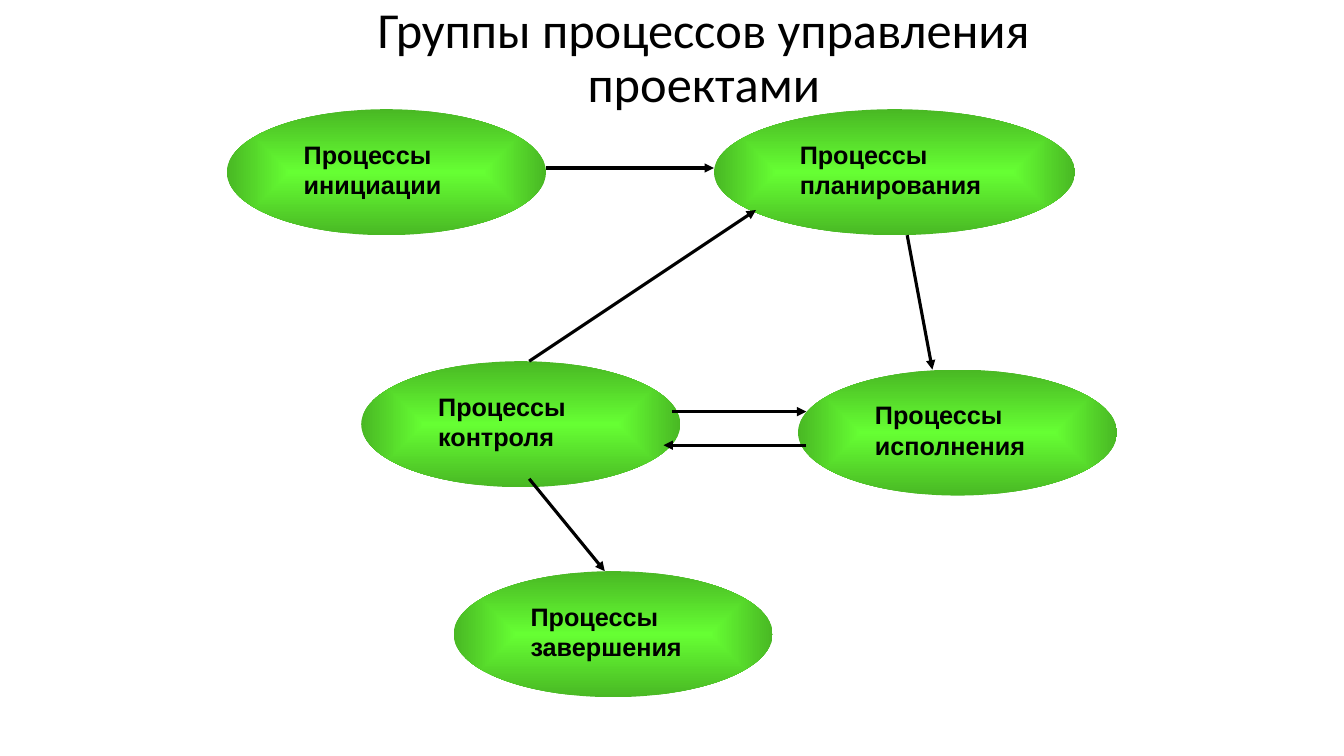
from lxml.etree import SubElement
from pptx import Presentation
from pptx.dml.color import RGBColor
from pptx.enum.shapes import MSO_CONNECTOR, MSO_SHAPE
from pptx.enum.text import MSO_ANCHOR, PP_ALIGN
from pptx.oxml import parse_xml
from pptx.oxml.ns import nsdecls, qn
from pptx.util import Inches, Pt

BLACK = RGBColor(0x00, 0x00, 0x00)
LIME = RGBColor(0x66, 0xFF, 0x33)
GREEN = RGBColor(0x49, 0xB8, 0x24)

# Grid of 160 columns by 90 rows
UNIT = Inches(1) / 12
COLS, ROWS = 160, 90

# Process ovals: text, column, row, width
NODES = [
    ("Процессы инициации", 27, 13, 38),
    ("Процессы планирования", 85, 13, 43),
    ("Процессы контроля", 43, 43, 38),
    ("Процессы исполнения", 95, 44, 38),
    ("Процессы завершения", 54, 68, 38),
]
TALL = 15

# Arrows: start column and row, end column and row
LINKS = [
    (65, 20, 85, 20),
    (108, 28, 111, 44),
    (80, 49, 96, 49),
    (96, 53, 79, 53),
    (63, 43, 90, 25),
    (63, 57, 72, 68),
]


def grid(*cells):
    return [round(cell * UNIT) for cell in cells]


def add_text(shapes, text, box, size, font):
    area = shapes.add_textbox(*grid(*box))
    frame = area.text_frame
    frame.word_wrap = True
    frame.vertical_anchor = MSO_ANCHOR.TOP
    para = frame.paragraphs[0]
    para.text = text
    para.font.size = Pt(size)
    para.font.name = font
    para.font.color.rgb = BLACK
    return para


def add_title(slide, text, box):
    para = add_text(slide.shapes, text, box, 36, "Calibri")
    para.alignment = PP_ALIGN.CENTER
    para.line_spacing = 0.9


def set_glow(fill):
    """Shade from a bright centre to a darker rim."""
    fill.gradient()
    for stop, color, place in zip(fill.gradient_stops, (LIME, GREEN), (0, 1)):
        stop.color.rgb = color
        stop.position = place


def add_node(slide, text, box):
    left, top, wide, tall = box
    group = slide.shapes.add_group_shape()
    oval = group.shapes.add_shape(MSO_SHAPE.OVAL, *grid(*box))
    oval.shadow.inherit = False
    oval.line.fill.background()
    set_glow(oval.fill)
    lin = oval._element.spPr.find(".//" + qn("a:lin"))
    lin.getparent().replace(lin, parse_xml(
        f'<a:path {nsdecls("a")} path="shape"><a:fillToRect '
        'l="50000" t="50000" r="50000" b="50000"/></a:path>'))

    # Label inside the oval
    area = (left + 0.21 * wide, top + 0.2 * tall, 0.58 * wide, 0.56 * tall)
    para = add_text(group.shapes, text, area, 18, "Arial")
    para.font.bold = True
    para.space_before = Pt(11.2)


def add_link(slide, ends):
    link = slide.shapes.add_connector(MSO_CONNECTOR.STRAIGHT, *grid(*ends))
    link.line.color.rgb = BLACK
    link.line.width = Pt(2.25)
    SubElement(link.line._get_or_add_ln(), qn("a:tailEnd"), type="triangle")
    SubElement(link._element.spPr, qn("a:effectLst"))


def main():
    deck = Presentation()
    deck.slide_width, deck.slide_height = grid(COLS, ROWS)
    slide = deck.slides.add_slide(deck.slide_layouts[6])
    add_title(slide, "Группы процессов управления проектами", (29.3, 0, 109, 9))
    for text, col, row, wide in NODES:
        add_node(slide, text, (col, row, wide, TALL))
    for ends in LINKS:
        add_link(slide, ends)
    deck.save("out.pptx")


if __name__ == "__main__":
    main()
